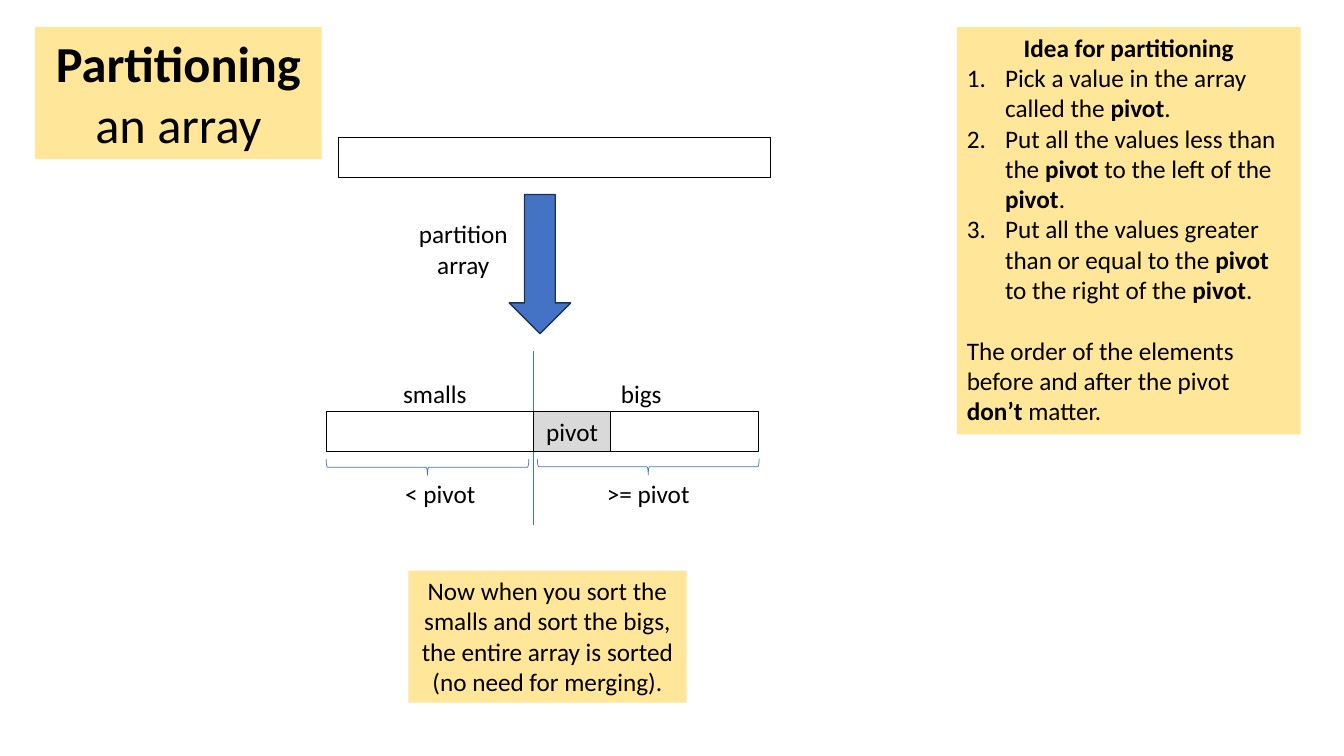
import pptx
import pptx.dml.color
import pptx.enum.shapes
import pptx.enum.text
import pptx.oxml.ns
import pptx.util

SHAPES = pptx.enum.shapes.MSO_SHAPE
ALIGN = pptx.enum.text.PP_ALIGN
EMU_PER_PX = 9144
BLACK, BLUE, NAVY = "000000", "4472C4", "1E3256"
YELLOW, GREY = "FFE699", "D9D9D9"


def px(length):
    return pptx.util.Emu(length * EMU_PER_PX)


def color(value):
    return pptx.dml.color.RGBColor.from_string(value)


def apply(target, values):
    for name, value in values.items():
        setattr(target, name, value)


class SlideBuilder:
    font = {"name": "Calibri", "size": pptx.util.Pt(18)}

    def __init__(self, slide):
        self.slide = slide

    def outline(self, line, stroke, width):
        line.color.rgb = color(stroke)
        line.width = pptx.util.Pt(width)

    def shape(self, kind, box, fill=None, stroke=None, width=0.75, rotation=0):
        shape = self.slide.shapes.add_shape(kind, *map(px, box))
        shape.shadow.inherit = False
        shape.rotation = rotation
        if fill:
            shape.fill.solid()
            shape.fill.fore_color.rgb = color(fill)
        else:
            shape.fill.background()
        if stroke:
            self.outline(shape.line, stroke, width)
        else:
            shape.line.fill.background()
        return shape

    def line(self, start, end, stroke, width):
        connector = self.slide.shapes.add_connector(
            pptx.enum.shapes.MSO_CONNECTOR.STRAIGHT, *map(px, start + end))
        self.outline(connector.line, stroke, width)
        properties = connector._element.spPr
        properties.append(properties.makeelement(pptx.oxml.ns.qn("a:effectLst"), {}))

    def frame(self, shape, wrap):
        apply(shape.text_frame, {
            "word_wrap": wrap,
            "auto_size": pptx.enum.text.MSO_AUTO_SIZE.SHAPE_TO_FIT_TEXT,
            "vertical_anchor": pptx.enum.text.MSO_ANCHOR.TOP,
        })
        return shape.text_frame

    def fill_paragraph(self, paragraph, text, numbered=False, font=None, **formats):
        if numbered:
            properties = paragraph._p.get_or_add_pPr()
            properties.set("marL", str(px(38)))
            properties.set("indent", str(px(-38)))
            number = properties.makeelement(
                pptx.oxml.ns.qn("a:buAutoNum"), {"type": "arabicPeriod"})
            properties.append(number)
        apply(paragraph, formats)
        for index, piece in enumerate(text.split("*")):
            for row, words in enumerate(piece.split("\n")):
                if row:
                    paragraph.add_line_break()
                if words:
                    run = paragraph.add_run()
                    run.text = words
                    apply(run.font, {**self.font, "bold": index % 2 == 1, **(font or {})})
                    run.font.color.rgb = color(BLACK)

    def label(self, box, text, alignment=ALIGN.LEFT):
        textbox = self.slide.shapes.add_textbox(*map(px, box))
        frame = self.frame(textbox, False)
        self.fill_paragraph(frame.paragraphs[0], text, alignment=alignment)

    def panel(self, box, paragraphs, fill=YELLOW, stroke=None):
        frame = self.frame(self.shape(SHAPES.RECTANGLE, box, fill, stroke), True)
        for index, formats in enumerate(paragraphs):
            paragraph = frame.add_paragraph() if index else frame.paragraphs[0]
            self.fill_paragraph(paragraph, **{"alignment": ALIGN.CENTER, **formats})


def main():
    presentation = pptx.Presentation()
    apply(presentation, {"slide_width": px(1333), "slide_height": px(750)})
    builder = SlideBuilder(presentation.slides.add_slide(presentation.slide_layouts[6]))

    for box in ((416, 363, 16, 201), (635, 353, 16, 220)):
        builder.shape(SHAPES.LEFT_BRACE, box, stroke=BLUE, width=0.5, rotation=270)
    builder.label((392, 470, 91, 40), "< pivot")
    builder.label((592, 470, 103, 40), ">= pivot")
    builder.line((529, 348), (529, 521), BLUE, 0.5)
    builder.label((390, 370, 84, 40), "smalls")
    builder.label((606, 370, 61, 40), "bigs")

    builder.panel((405, 566, 276, 131), [{
        "text": "Now when you sort the smalls and sort the bigs, "
                "the entire array is sorted (no need for merging)."}])

    for left, top in ((336, 136), (324, 408)):
        builder.shape(SHAPES.RECTANGLE, (left, top, 428, 40), stroke=BLACK)
    builder.panel((529, 408, 77, 40), [{"text": "pivot"}], GREY, BLACK)
    builder.shape(SHAPES.DOWN_ARROW, (505, 193, 61, 138), BLUE, NAVY, 1)
    builder.label((405, 212, 109, 71), "partition\narray", ALIGN.CENTER)

    builder.panel((35, 27, 284, 131), [
        {"text": "*Partitioning* an array", "font": {"size": pptx.util.Pt(36)}}])

    steps = (
        "Pick a value in the array called the *pivot*.",
        "Put all the values less than the *pivot* to the left of the *pivot*.",
        "Put all the values greater than or equal to the *pivot* to the right of the *pivot*.",
    )
    builder.panel((949, 27, 341, 404), [
        {"text": "*Idea for partitioning*"},
        *({"text": step, "numbered": True, "alignment": ALIGN.LEFT} for step in steps),
        {"text": "The order of the elements before and after the pivot *don’t* matter.",
         "alignment": ALIGN.LEFT, "space_before": pptx.util.Pt(22)},
    ])

    presentation.save("out.pptx")


if __name__ == "__main__":
    main()
